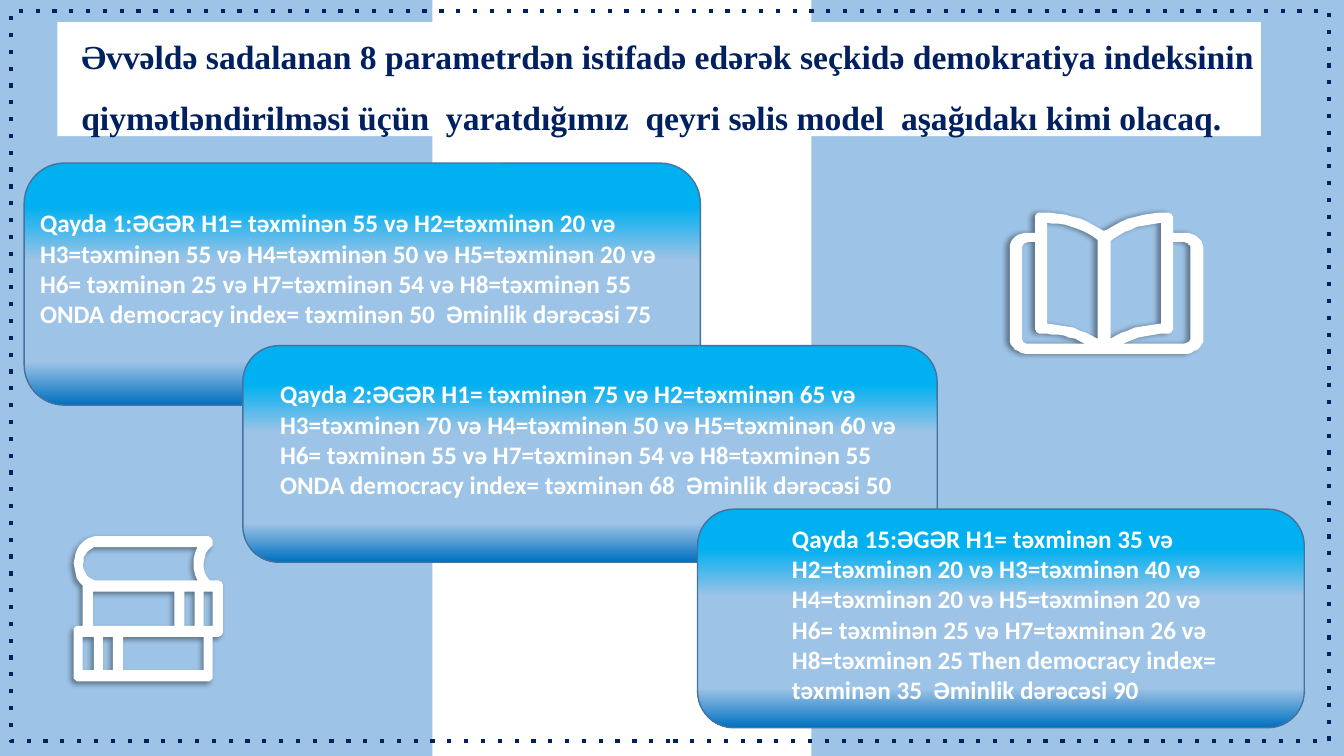
"""Builds the slide with the fuzzy rules of the democracy index model."""
import copy

import pptx
import pptx.dml.color
import pptx.enum.shapes
import pptx.oxml
import pptx.oxml.ns
import pptx.util
from lxml import etree

Cm, Pt = pptx.util.Cm, pptx.util.Pt
RGBColor = pptx.dml.color.RGBColor
MSO_SHAPE = pptx.enum.shapes.MSO_SHAPE
qn = pptx.oxml.ns.qn

WHITE = RGBColor(0xFF, 0xFF, 0xFF)
PALE_BLUE = RGBColor(0x9D, 0xC3, 0xE6)
SKY = RGBColor(0x00, 0xB0, 0xF0)
BLUE = RGBColor(0x00, 0x70, 0xC0)
STEEL = RGBColor(0x43, 0x73, 0x9E)
NAVY = RGBColor(0x00, 0x20, 0x60)

TITLE = ("Əvvəldə sadalanan 8 parametrdən istifadə edərək seçkidə demokratiya indeksinin "
         "qiymətləndirilməsi üçün  yaratdığımız  qeyri səlis model  aşağıdakı kimi olacaq.")
TITLE_BOX = (1.8, 0.28, 31.5, 3.6)
PANELS = [(1.45, 0.56, 30.33, 2.87), (10.9, 0, 9.55, 19.05)]
BORDER = (0.28, 0.28, 33.22, 18.39)

RULES = [
    {"card": (0.61, 4.11, 17.04, 6.1), "box": (0.76, 5.11, 16.94, 3.33),
     "text": "Qayda 1:ƏGƏR H1= təxminən 55 və H2=təxminən 20 və H3=təxminən 55 və "
             "H4=təxminən 50 və H5=təxminən 20 və H6= təxminən 25 və H7=təxminən 54 və "
             "H8=təxminən 55 ONDA democracy index= təxminən 50  Əminlik dərəcəsi 75"},
    {"card": (6.12, 8.71, 17.5, 5.46), "box": (6.81, 9.42, 16.94, 3.33),
     "text": "Qayda 2:ƏGƏR H1= təxminən 75 və H2=təxminən 65 və H3=təxminən 70 və "
             "H4=təxminən 50 və H5=təxminən 60 və H6= təxminən 55 və H7=təxminən 54 və "
             "H8=təxminən 55 ONDA democracy index= təxminən 68  Əminlik dərəcəsi 50"},
    {"card": (17.58, 12.83, 15.29, 5.51), "box": (19.71, 13.06, 11.53, 4.9),
     "text": "Qayda 15:ƏGƏR H1= təxminən 35 və H2=təxminən 20 və H3=təxminən 40 və "
             "H4=təxminən 20 və H5=təxminən 20 və H6= təxminən 25 və H7=təxminən 26 və "
             "H8=təxminən 25 Then democracy index= təxminən 35  Əminlik dərəcəsi 90"},
]
CARD_STOPS = [(0.18, SKY), (0.4, PALE_BLUE), (0.82, PALE_BLUE), (1, BLUE)]

OPEN_BOOK = [
    "M 37 10 C 53 11 69 15 83 24 L 87 27 L 87 125 C 72 116 55 111 37 110",
    "M 150 10 L 150 110 C 132 111 114 116 100 125 L 100 28 L 104 25 C 117 16 134 11 150 10",
    "M 25 29 L 25 115 C 25 118 28 120 31 120 C 46 120 62 123 75 130 L 19 130 "
    "C 15 130 12 128 12 125 L 12 34 C 12 32 15 30 19 29",
    "M 172 29 C 176 29 178 32 179 34 L 179 125 C 179 128 176 129 172 130 L 112 130 "
    "C 124 124 140 120 155 120 C 159 120 162 118 162 115 L 162 29",
    "M 31 0 C 27 0 25 2 25 5 L 25 20 L 19 20 C 8 20 0 26 0 35 L 0 125 C 0 133 8 140 19 140 "
    "L 173 140 C 183 140 192 133 192 125 L 192 34 C 191 26 183 20 173 20 L 162 20 L 162 5 "
    "C 162 2 159 0 156 0 C 135 0 114 5 96 17 L 93 18 L 91 17 C 74 5 52 0 31 0",
]
STACK_WINDOWS = [(22, 55, 103, 89), (113, 55, 123, 89), (132, 55, 141, 89),
                 (12, 100, 23, 133), (32, 100, 42, 133), (52, 100, 132, 133)]
BOOK_STACK = [
    "M 126 11 C 121 21 121 34 126 44 L 27 44 C 20 44 15 39 13 33 C 10 22 17 11 27 11",
    *[f"M {x1} {y1} L {x1} {y2} L {x2} {y2} L {x2} {y1}" for x1, y1, x2, y2 in STACK_WINDOWS],
    "M 27 0 C 19 0 12 5 7 12 C 0 24 3 41 12 49 L 12 89 L 8 89 C 5 89 3 91 3 94 L 3 138 "
    "C 3 142 5 144 8 144 L 137 144 C 139 144 141 142 141 138 L 141 100 L 146 100 "
    "C 149 100 151 97 151 94 L 151 50 C 151 47 149 44 146 44 L 138 44 "
    "C 129 35 130 18 140 10 C 143 7 141 1 137 0",
]
ICONS = [(OPEN_BOOK, 25.45, 5.36, 180), (BOOK_STACK, 1.78, 13.51, 135)]
ICON_UNIT = Cm(0.0254)
CURVE_STEPS = 8


def add_box(slide, kind, place, fill=None):
    sp = slide.shapes.add_shape(kind, *map(Cm, place))
    sp.shadow.inherit = False
    sp.line.fill.background()
    if fill is None:
        sp.fill.background()
    else:
        sp.fill.solid()
        sp.fill.fore_color.rgb = fill
    return sp


def add_text(slide, place, text, font, size, color, spacing=1.0):
    tf = slide.shapes.add_textbox(*map(Cm, place)).text_frame
    tf.word_wrap = True
    tf.text = text
    p = tf.paragraphs[0]
    p.line_spacing = spacing
    r = p.runs[0]
    r.font.name, r.font.size, r.font.bold = font, Pt(size), True
    r.font.color.rgb = color


def add_card(slide, place):
    sp = add_box(slide, MSO_SHAPE.ROUNDED_RECTANGLE, place)
    sp.line.color.rgb = STEEL
    sp.line.width = Pt(1)
    sp.fill.gradient()
    sp.fill.gradient_angle = 270
    stops = sp._element.spPr.find(".//" + qn("a:gsLst"))
    while len(stops) < len(CARD_STOPS):
        stops.append(copy.deepcopy(stops[0]))
    for stop, (position, color) in zip(sp.fill.gradient_stops, CARD_STOPS):
        stop.position = position
        stop.color.rgb = color


def trace(outline):
    points = []
    for part in outline.replace("M", "|L").replace("L", "|L").replace("C", "|C").split("|"):
        if not part.strip():
            continue
        command, *numbers = part.split()
        values = list(map(int, numbers))
        pairs = list(zip(values[::2], values[1::2]))
        if command == "L":
            points += pairs
            continue
        curve = [points[-1], *pairs]
        for step in range(1, CURVE_STEPS + 1):
            t = step / CURVE_STEPS
            weights = ((1 - t) ** 3, 3 * t * (1 - t) ** 2, 3 * t * t * (1 - t), t ** 3)
            points.append(tuple(sum(w * pt[axis] for w, pt in zip(weights, curve))
                                for axis in (0, 1)))
    return points


def add_icon(slide, outlines, left, top, shadow_angle):
    builder = None
    for points in map(trace, outlines):
        if builder is None:
            builder = slide.shapes.build_freeform(*points[0], scale=ICON_UNIT)
        else:
            builder.move_to(*points[0])
        builder.add_line_segments(points[1:], close=True)
    sp = builder.convert_to_shape(Cm(left), Cm(top))
    sp.fill.solid()
    sp.fill.fore_color.rgb = WHITE
    sp.line.fill.background()
    sp.shadow.inherit = False
    effects = sp._element.spPr.find(qn("a:effectLst"))
    shadow = etree.SubElement(effects, qn("a:outerShdw"), blurRad=str(Pt(4)), dist=str(Pt(3)),
                              dir=str(shadow_angle * 60000), algn="ctr", rotWithShape="0")
    color = etree.SubElement(shadow, qn("a:srgbClr"), val="000000")
    etree.SubElement(color, qn("a:alpha"), val="40000")


def main():
    prs = pptx.Presentation()
    prs.slide_width, prs.slide_height = Cm(33.87), Cm(19.05)
    slide = prs.slides.add_slide(prs.slide_layouts[6])
    slide.background.fill.solid()
    slide.background.fill.fore_color.rgb = PALE_BLUE

    for panel in PANELS:
        add_box(slide, MSO_SHAPE.RECTANGLE, panel, WHITE)
    add_text(slide, TITLE_BOX, TITLE, "Times New Roman", 24, NAVY, 1.5)
    for rule in RULES:
        add_card(slide, rule["card"])
    for rule in RULES:
        add_text(slide, rule["box"], rule["text"], "Calibri", 18, WHITE)

    border = add_box(slide, MSO_SHAPE.RECTANGLE, BORDER)
    border.line.color.rgb = NAVY
    border.line.width = Pt(3)
    etree.SubElement(border._element.spPr.find(qn("a:ln")), qn("a:prstDash"), val="dot")
    for icon in ICONS:
        add_icon(slide, *icon)
    prs.save("out.pptx")


if __name__ == "__main__":
    main()
